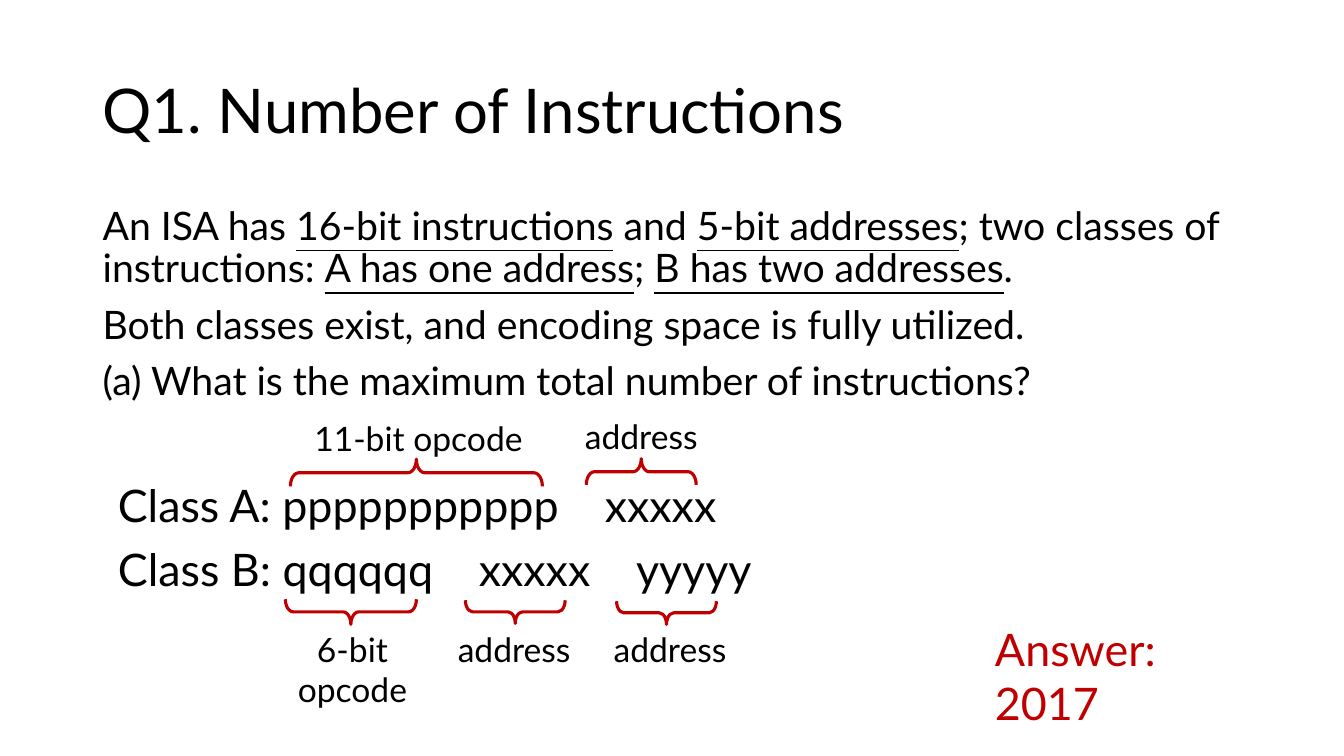
from lxml import etree
from pptx import Presentation
from pptx import util as u
from pptx.dml.color import RGBColor
from pptx.enum import shapes, text
from pptx.oxml.ns import qn

COLORS = {"ink": "000000", "accent": "C00000"}


class SlideBuilder:
    font = "Lato"

    def __init__(self, slide):
        self.slide = slide
        self.target = slide.shapes

    def group(self):
        self.target = self.slide.shapes.add_group_shape().shapes

    def ungroup(self):
        self.target = self.slide.shapes

    def textbox(self, box, paragraphs, size, color="ink", anchor=text.MSO_ANCHOR.TOP,
                tabs=(), **paragraph_format):
        shape = self.target.add_textbox(*map(u.Inches, box))
        frame = shape.text_frame
        frame.word_wrap = True
        frame.vertical_anchor = anchor
        for index, pieces in enumerate(paragraphs):
            paragraph = frame.paragraphs[0] if index == 0 else frame.add_paragraph()
            for name, value in paragraph_format.items():
                setattr(paragraph, name, value)
            if tabs:
                self.tab_stops(paragraph, tabs)
            for position, piece in enumerate(pieces):
                run = paragraph.add_run()
                run.text = piece
                run.font.color.rgb = RGBColor.from_string(COLORS[color])
                style = {"name": self.font, "size": u.Pt(size), "underline": position % 2 == 1}
                for name, value in style.items():
                    setattr(run.font, name, value)

    def tab_stops(self, paragraph, tabs):
        properties = paragraph._p.get_or_add_pPr()
        tab_list = etree.SubElement(properties, qn("a:tabLst"))
        for tab in tabs:
            etree.SubElement(tab_list, qn("a:tab"), pos=str(u.Inches(tab)), algn="l")

    def label(self, box, caption):
        self.textbox(box, [[caption]], 24, alignment=text.PP_ALIGN.CENTER)

    def brace(self, center_x, center_y, span, depth, rotation):
        box = (center_x - depth / 2, center_y - span / 2, depth, span)
        shape = self.target.add_shape(shapes.MSO_SHAPE.RIGHT_BRACE, *map(u.Inches, box))
        shape.rotation = rotation
        shape.adjustments[0] = 0.31
        shape.adjustments[1] = 0.5
        shape.shadow.inherit = False
        shape.fill.background()
        shape.line.color.rgb = RGBColor.from_string(COLORS["accent"])
        shape.line.width = u.Pt(2.25)


def main():
    presentation = Presentation()
    presentation.slide_width = u.Inches(13.33)
    presentation.slide_height = u.Inches(7.5)
    builder = SlideBuilder(presentation.slides.add_slide(presentation.slide_layouts[6]))

    builder.textbox((0.92, 0.4, 11.5, 1.45), [["Q1. Number of Instructions"]], 44,
                    anchor=text.MSO_ANCHOR.MIDDLE, line_spacing=0.9)
    question = [
        ["An ISA has ", "16-bit instructions", " and ", "5-bit addresses",
         "; two classes of instructions: ", "A has one address", "; ",
         "B has two addresses", "."],
        ["Both classes exist, and encoding space is fully utilized."],
        ["(a) What is the maximum total number of instructions?"],
    ]
    builder.textbox((0.92, 2, 11.5, 4.76), question, 28,
                    line_spacing=0.9, space_before=u.Pt(10))

    builder.textbox((1.07, 4.69, 6.83, 0.64), [["Class A: ppppppppppp\txxxxx"]], 32, tabs=[4.83])
    builder.textbox((1.07, 5.33, 7.21, 0.64), [["Class B: qqqqqq\txxxxx\tyyyyy"]], 32,
                    tabs=[3.58, 5.14])

    class_a = [
        ((4.13, 4.69, 2.5, 0.27), (2.9, 4.1, 2.5, 0.5), "11-bit opcode"),
        ((6.36, 4.68, 1.09, 0.26), (5.47, 4.08, 1.78, 0.5), "address"),
    ]
    class_b = [
        ((3.48, 6.07, 1.3, 0.25), (2.69, 6.19, 1.61, 0.91), "6-bit opcode"),
        ((5.11, 6.07, 0.99, 0.23), (4.3, 6.19, 1.6, 0.5), "address"),
        ((6.61, 6.08, 0.99, 0.23), (5.9, 6.19, 1.49, 0.5), "address"),
    ]
    for rotation, fields in ((270, class_a), (90, class_b)):
        builder.group()
        for brace, box, caption in fields:
            builder.brace(*brace, rotation)
            builder.label(box, caption)
    builder.ungroup()

    builder.textbox((9.77, 6.12, 2.82, 0.64), [["Answer: 2017"]], 32, color="accent")
    presentation.save("out.pptx")


if __name__ == "__main__":
    main()
